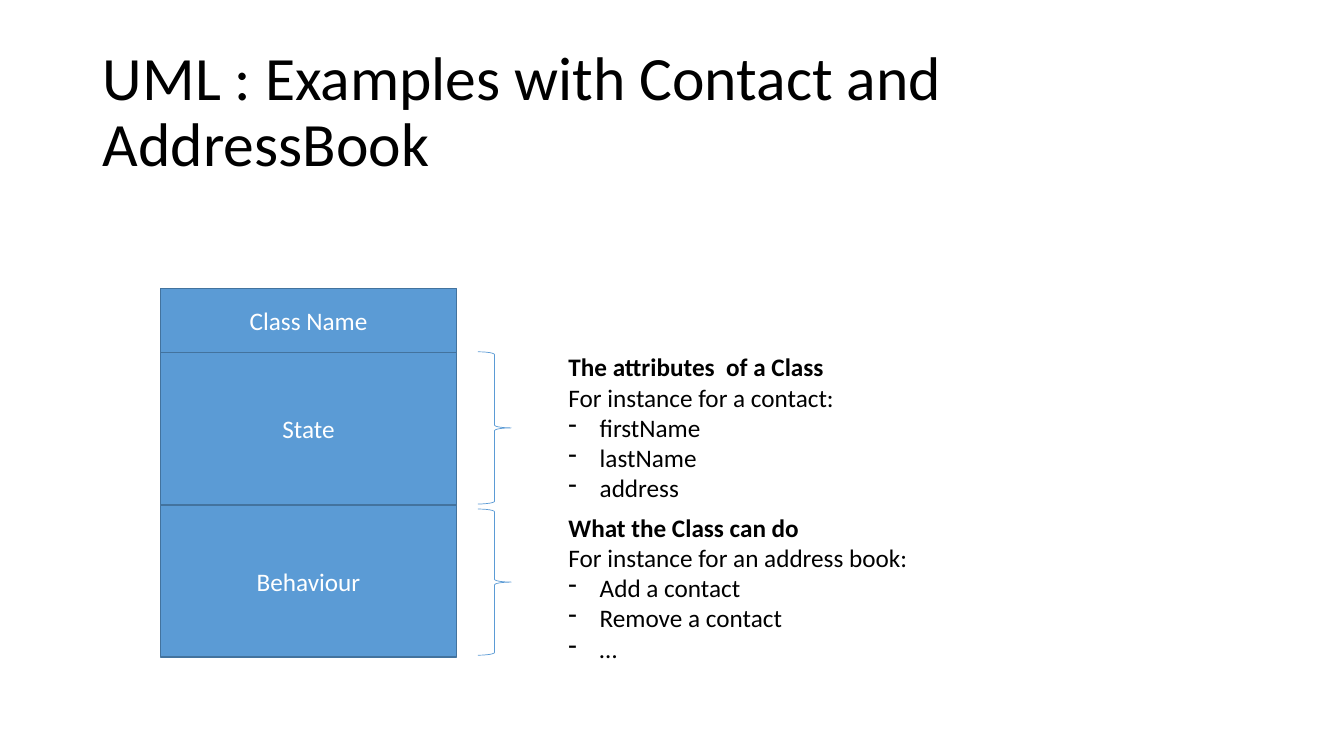
"""Build a slide that explains the three compartments of a UML class box."""
from lxml.etree import SubElement
from pptx import Presentation
from pptx.dml.color import RGBColor
from pptx.enum.shapes import MSO_SHAPE
from pptx.enum.text import MSO_ANCHOR, MSO_AUTO_SIZE, PP_ALIGN
from pptx.oxml.ns import qn
from pptx.util import Inches, Pt

TITLE = "UML : Examples with Contact and AddressBook"
COMPARTMENTS = [("Class Name", 0.64), ("State", 1.51), ("Behaviour", 1.51)]
BRACES = [(3.49, 1.51), (5.05, 1.45)]
EXPLANATIONS = [
    (3.44, 2.87, "The attributes  of a Class", "For instance for a contact:",
     ["firstName", "lastName", "address"]),
    (5.03, 3.6, "What the Class can do", "For instance for an address book:",
     ["Add a contact", "Remove a contact", "…"]),
]
COLORS = {"black": "000000", "white": "FFFFFF", "blue": "5B9BD5", "outline": "43739E"}
FONT = "Calibri"
CLASS_LEFT, CLASS_TOP, CLASS_WIDTH = 1.59, 2.86, 2.94
BRACE_LEFT, BRACE_WIDTH = 4.74, 0.33
TEXT_LEFT, TEXT_HEIGHT = 5.54, 1.62
BULLET_INDENT = Inches(0.31)


def color(name):
    return RGBColor.from_string(COLORS[name])


def add_run(paragraph, text, size=18, color_name="black", bold=False):
    run = paragraph.add_run()
    run.text = text
    run.font.name = FONT
    run.font.size = Pt(size)
    run.font.bold = bold
    run.font.color.rgb = color(color_name)


def add_shape(slide, kind, box, line_name, line_width):
    shape = slide.shapes.add_shape(kind, *map(Inches, box))
    shape.shadow.inherit = False
    shape.line.color.rgb = color(line_name)
    shape.line.width = Pt(line_width)
    return shape


def add_dash(paragraph):
    properties = paragraph._p.get_or_add_pPr()
    properties.set("marL", str(BULLET_INDENT))
    properties.set("indent", str(-BULLET_INDENT))
    SubElement(properties, qn("a:buFontTx"))
    SubElement(properties, qn("a:buChar")).set("char", "-")


def add_title(slide):
    title = slide.shapes.title
    title.left, title.top = Inches(0.92), Inches(0.4)
    title.width, title.height = Inches(11.5), Inches(1.45)
    frame = title.text_frame
    frame.vertical_anchor = MSO_ANCHOR.MIDDLE
    frame.auto_size = MSO_AUTO_SIZE.NONE
    paragraph = frame.paragraphs[0]
    paragraph.alignment = PP_ALIGN.LEFT
    paragraph.line_spacing = 0.9
    add_run(paragraph, TITLE, size=44)


def add_class_box(slide):
    top = CLASS_TOP
    for label, height in COMPARTMENTS:
        box = (CLASS_LEFT, top, CLASS_WIDTH, height)
        compartment = add_shape(slide, MSO_SHAPE.RECTANGLE, box, "outline", 1)
        compartment.fill.solid()
        compartment.fill.fore_color.rgb = color("blue")
        compartment.text_frame.vertical_anchor = MSO_ANCHOR.MIDDLE
        paragraph = compartment.text_frame.paragraphs[0]
        paragraph.alignment = PP_ALIGN.CENTER
        add_run(paragraph, label, color_name="white")
        top += height


def add_explanation(slide, top, width, heading, introduction, items):
    box = slide.shapes.add_textbox(*map(Inches, (TEXT_LEFT, top, width, TEXT_HEIGHT)))
    frame = box.text_frame
    frame.word_wrap = False
    frame.auto_size = MSO_AUTO_SIZE.SHAPE_TO_FIT_TEXT
    add_run(frame.paragraphs[0], heading, bold=True)
    add_run(frame.add_paragraph(), introduction)
    for item in items:
        paragraph = frame.add_paragraph()
        add_dash(paragraph)
        add_run(paragraph, item)


presentation = Presentation()
presentation.slide_width, presentation.slide_height = Inches(13.33), Inches(7.5)
slide = presentation.slides.add_slide(presentation.slide_layouts[5])
add_title(slide)
add_class_box(slide)
for brace_top, brace_height in BRACES:
    brace_box = (BRACE_LEFT, brace_top, BRACE_WIDTH, brace_height)
    brace = add_shape(slide, MSO_SHAPE.RIGHT_BRACE, brace_box, "blue", 0.5)
    brace.fill.background()
for explanation in EXPLANATIONS:
    add_explanation(slide, *explanation)
presentation.save("out.pptx")
